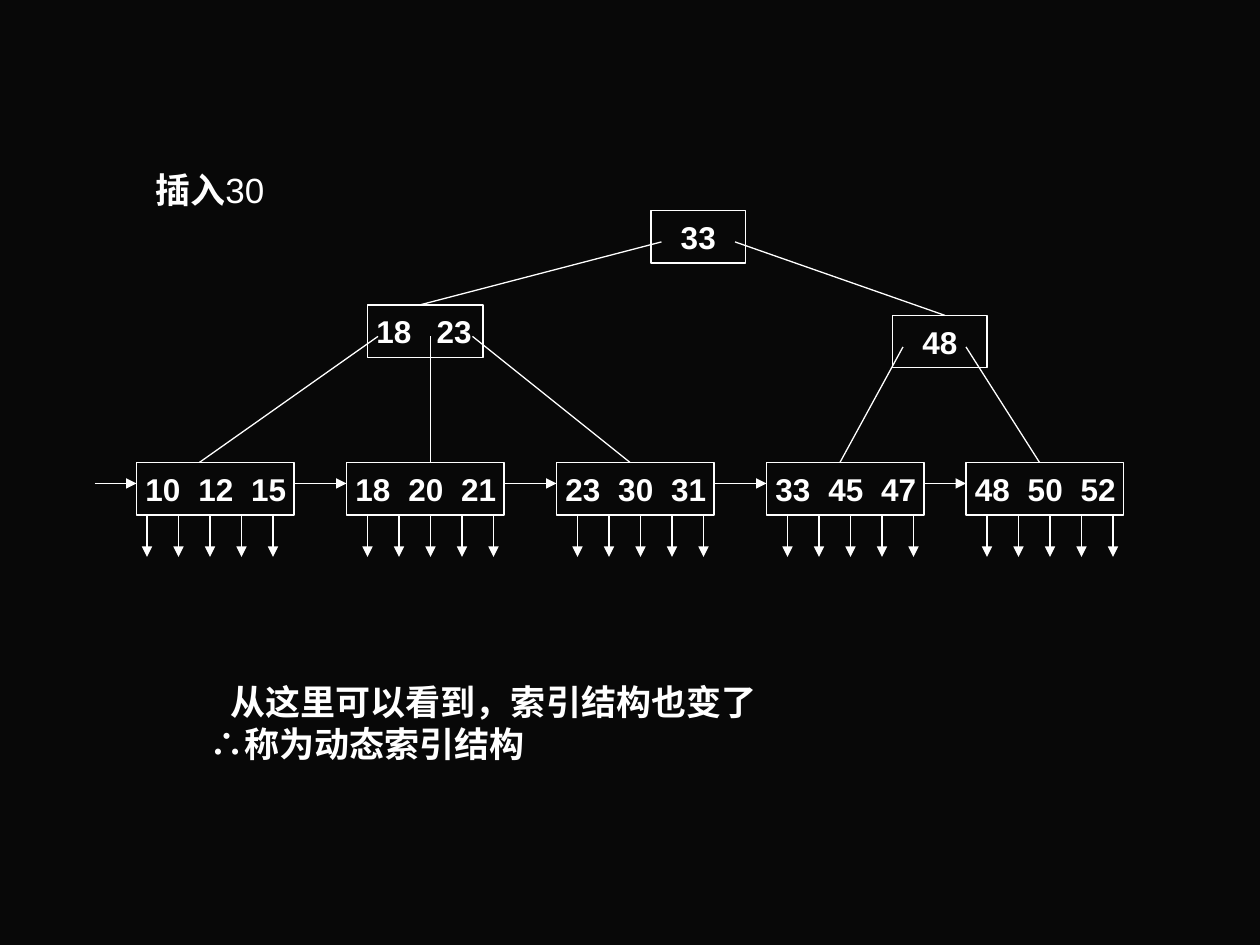
from lxml import etree
from pptx import Presentation
from pptx.dml.color import RGBColor
from pptx.enum.shapes import MSO_CONNECTOR, MSO_SHAPE
from pptx.enum.text import MSO_ANCHOR, PP_ALIGN
from pptx.oxml.ns import qn
from pptx.util import Inches, Pt

STRAIGHT = MSO_CONNECTOR.STRAIGHT
PROCESS = MSO_SHAPE.FLOWCHART_PROCESS
MIDDLE = MSO_ANCHOR.MIDDLE
CENTER, LEFT = PP_ALIGN.CENTER, PP_ALIGN.LEFT

COLORS = {"background": "080808", "ink": "FFFFFF"}
INK = RGBColor.from_string(COLORS["ink"])

# The tree sits on a grid of twelve units to the inch
NODE_HEIGHT = 5
LEAF_TOP, LEAF_WIDTH = 24, 15
CHAIN_Y = 26
DROP_COUNT, DROP_STEP, DROP_LENGTH = 5, 3, 4

# Keys, left, top, width, spacing of the keys in inches
INDEX_NODES = [
    (["33"], 53, 0, 9, 0),
    (["18", "23"], 26, 9, 11, 0.48),
    (["48"], 76, 10, 9, 0),
]
# Keys, left, offset of the first record pointer
LEAVES = [
    (["10", "12", "15"], 4, 1),
    (["18", "20", "21"], 24, 2),
    (["23", "30", "31"], 44, 2),
    (["33", "45", "47"], 64, 2),
    (["48", "50", "52"], 83, 2),
]
# Start and end of each pointer from parent to child
BRANCHES = [
    (54, 3, 31, 9), (61, 3, 81, 10),
    (27, 12, 10, 24), (32, 12, 32, 24), (36, 12, 51, 24),
    (77, 13, 71, 24), (83, 13, 90, 24),
]


def units(count):
    return Inches(count / 12)


def style_run(run, size, font="Arial", bold=True):
    run.font.size = Pt(size)
    run.font.name = font
    run.font.bold = bold
    run.font.color.rgb = INK


def add_line(slide, start, end, arrow=False):
    line = slide.shapes.add_connector(STRAIGHT, *start, *end)
    line.line.color.rgb = INK
    line.line.width = Pt(0.75)
    if arrow:
        tail = etree.SubElement(line.line._get_or_add_ln(), qn("a:tailEnd"))
        tail.set("type", "triangle")
    etree.SubElement(line._element.spPr, qn("a:effectLst"))


def add_node(slide, keys, left, top, width, height, key_step):
    node = slide.shapes.add_shape(PROCESS, left, top, width, height)
    node.shadow.inherit = False
    node.fill.background()
    node.line.color.rgb = INK
    node.line.width = Pt(0.75)
    frame = node.text_frame
    frame.word_wrap = True
    frame.vertical_anchor = MIDDLE
    frame.margin_left = Inches(0.07) if key_step else 0
    frame.margin_right = 0
    paragraph = frame.paragraphs[0]
    paragraph.text = "\t".join(keys)
    paragraph.alignment = LEFT if key_step else CENTER
    # Tab stops keep the keys evenly apart
    if key_step:
        tabs = etree.SubElement(paragraph._p.get_or_add_pPr(), qn("a:tabLst"))
        for index in range(1, len(keys)):
            tab = etree.SubElement(tabs, qn("a:tab"))
            tab.set("pos", str(Inches(key_step * index)))
            tab.set("algn", "l")
    for run in paragraph.runs:
        style_run(run, 18)


def add_tree(slide, left, top):
    def point(x, y):
        return left + units(x), top + units(y)

    # Index levels
    for keys, x, y, width, key_step in INDEX_NODES:
        add_node(slide, keys, *point(x, y), units(width), units(NODE_HEIGHT), key_step)

    # Leaf level: chain arrow, node and record pointers
    previous_right = 0
    drop_top = LEAF_TOP + NODE_HEIGHT
    for keys, x, drop_offset in LEAVES:
        add_line(slide, point(previous_right, CHAIN_Y), point(x, CHAIN_Y), arrow=True)
        add_node(slide, keys, *point(x, LEAF_TOP), units(LEAF_WIDTH), units(NODE_HEIGHT), 0.42)
        for index in range(DROP_COUNT):
            drop_x = x + drop_offset + index * DROP_STEP
            add_line(slide, point(drop_x, drop_top),
                     point(drop_x, drop_top + DROP_LENGTH), arrow=True)
        previous_right = x + LEAF_WIDTH

    # Branches
    for x1, y1, x2, y2 in BRANCHES:
        add_line(slide, point(x1, y1), point(x2, y2))


def add_title(slide, left, top, width, height):
    frame = slide.shapes.add_textbox(left, top, width, height).text_frame
    frame.word_wrap = True
    paragraph = frame.paragraphs[0]
    paragraph.alignment = CENTER
    paragraph.line_spacing = 0.9
    for text, bold in [("插入", True), ("30", False)]:
        run = paragraph.add_run()
        run.text = text
        style_run(run, 20, bold=bold)


def add_conclusion(slide, left, top, width, height):
    frame = slide.shapes.add_textbox(left, top, width, height).text_frame
    frame.word_wrap = True
    frame.margin_left = frame.margin_top = 0
    lines = [
        [("从这里可以看到，索引结构也变了", "Times New Roman")],
        [("∴", "Arial"), ("称为动态索引结构", "Times New Roman")],
    ]
    for index, parts in enumerate(lines):
        paragraph = frame.paragraphs[0] if index == 0 else frame.add_paragraph()
        for text, font in parts:
            run = paragraph.add_run()
            run.text = text
            style_run(run, 20, font)
    # The first line is set in a little
    frame.paragraphs[0]._p.get_or_add_pPr().set("indent", str(Inches(0.17)))


def main():
    presentation = Presentation()
    presentation.slide_width = Inches(10)
    presentation.slide_height = Inches(7.5)
    slide = presentation.slides.add_slide(presentation.slide_layouts[6])
    slide.background.fill.solid()
    slide.background.fill.fore_color.rgb = RGBColor.from_string(COLORS["background"])

    add_title(slide, Inches(1), Inches(1.33), Inches(1.33), Inches(0.4))
    add_tree(slide, Inches(0.75), Inches(1.67))
    add_conclusion(slide, Inches(1.66), Inches(5.4), Inches(7), Inches(0.9))
    presentation.save("out.pptx")


if __name__ == "__main__":
    main()
